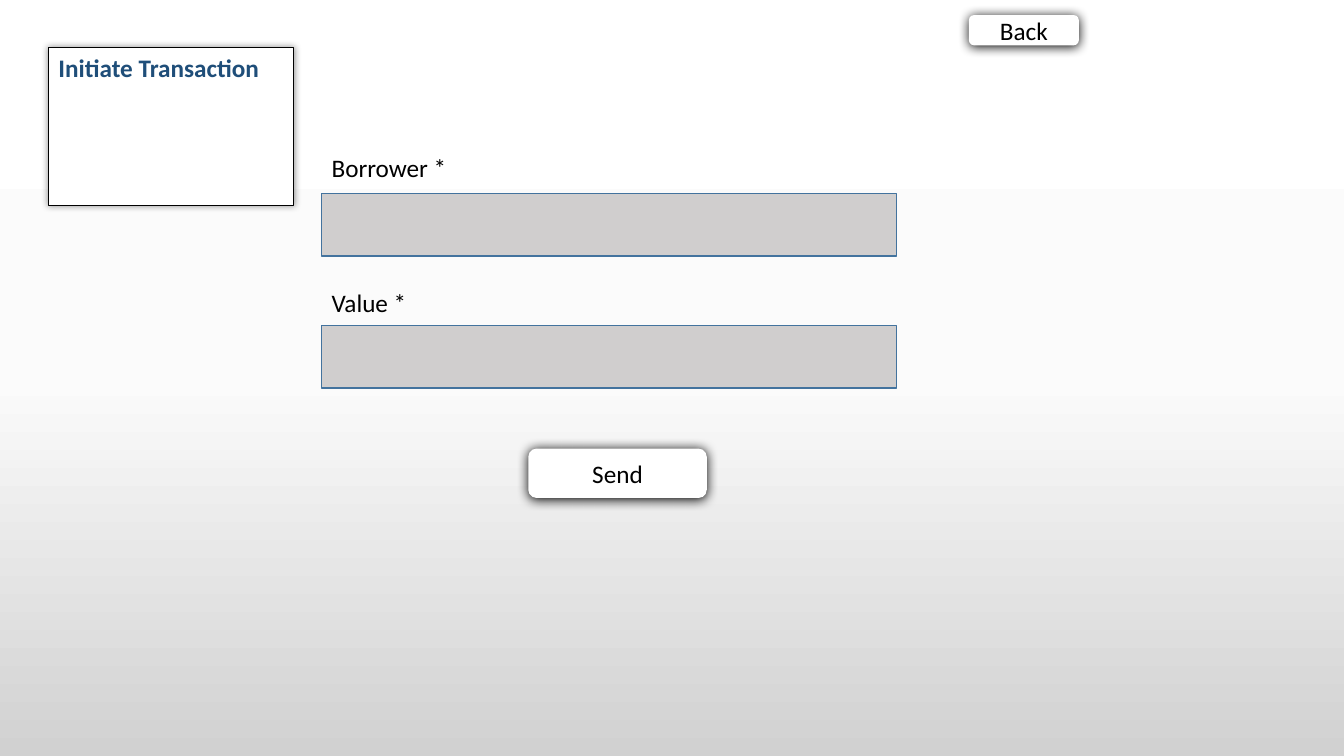
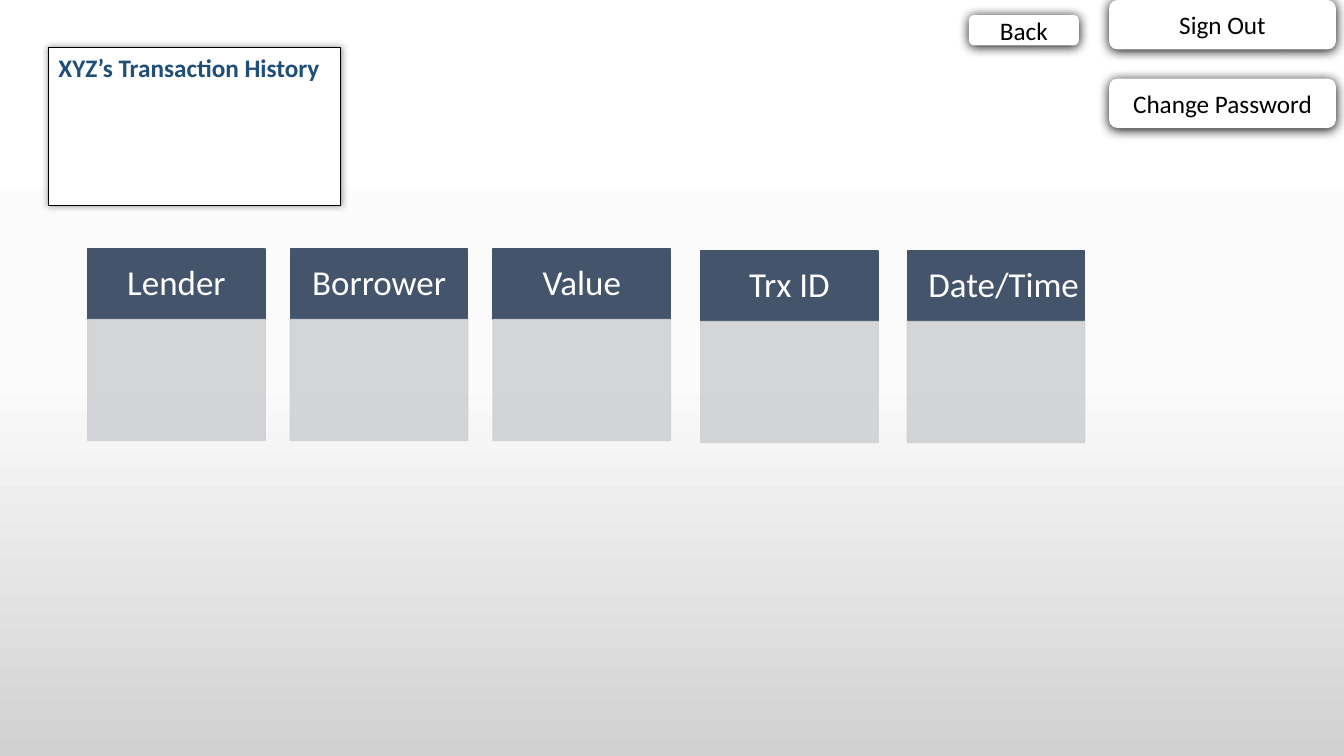
from copy import deepcopy

from lxml import etree
from pptx import Presentation
from pptx.dml.color import RGBColor
from pptx.enum.shapes import MSO_SHAPE
from pptx.enum.text import MSO_ANCHOR, MSO_AUTO_SIZE, PP_ALIGN
from pptx.oxml.ns import qn
from pptx.util import Inches, Pt

RECT, ROUNDED = MSO_SHAPE.RECTANGLE, MSO_SHAPE.ROUNDED_RECTANGLE
LEFT, CENTER = PP_ALIGN.LEFT, PP_ALIGN.CENTER
TOP, MIDDLE = MSO_ANCHOR.TOP, MSO_ANCHOR.MIDDLE
FIT_SHAPE, NO_FIT = MSO_AUTO_SIZE.SHAPE_TO_FIT_TEXT, MSO_AUTO_SIZE.NONE

FONT = "Calibri"
COLORS = {
    "white": "FFFFFF",
    "black": "000000",
    "title": "1F4E79",
    "field": "D0CECE",
    "field_line": "43739E",
    "header": "44546A",
    "cell": "CFD1D4",
}
BACKGROUND = [(0, "FFFFFF"), (0.5, "FBFBFB"), (1, "D1D1D1")]
BACK_BOX = (9.61, 0.15, 1.09, 0.3)


def rgb(name):
    return RGBColor.from_string(COLORS[name])


def set_background(master):
    fill = master.background.fill
    fill.gradient()
    fill.gradient_angle = 270
    stops = master.element.find(".//" + qn("a:gsLst"))
    stops.append(deepcopy(stops[-1]))
    for stop, (position, color) in zip(fill.gradient_stops, BACKGROUND):
        stop.position = position
        stop.color.rgb = RGBColor.from_string(color)


def style_shape(s, fill, line=None):
    s.shadow.inherit = False
    s.fill.solid()
    s.fill.fore_color.rgb = rgb(fill)
    if line:
        s.line.color.rgb = rgb(line)
        s.line.width = Pt(1)
    else:
        s.line.fill.background()


def add_box(slide, box, fill, line=None, kind=RECT):
    s = slide.shapes.add_shape(kind, *map(Inches, box))
    style_shape(s, fill, line)
    return s


def add_shadow(s, alpha, blur, distance):
    """Cast a black shadow straight down; blur and distance in points."""
    effects = s.element.spPr.find(qn("a:effectLst"))
    shadow = etree.SubElement(
        effects, qn("a:outerShdw"), blurRad=str(Pt(blur)),
        dist=str(Pt(distance)), dir="5400000", algn="ctr", rotWithShape="0")
    color = etree.SubElement(shadow, qn("a:srgbClr"), val=COLORS["black"])
    etree.SubElement(color, qn("a:alpha"), val=str(alpha * 1000))


def set_opacity(s, percent):
    """Apply one opacity to both the fill and the line."""
    for color in s.element.spPr.iter(qn("a:srgbClr")):
        etree.SubElement(color, qn("a:alpha"), val=str(percent * 1000))


def write(s, text, size=18, color="black", bold=False, align=LEFT,
          anchor=TOP, fit=NO_FIT):
    tf = s.text_frame
    tf.word_wrap = True
    tf.auto_size = fit
    tf.vertical_anchor = anchor
    p = tf.paragraphs[0]
    p.alignment = align
    r = p.add_run()
    r.text = text
    r.font.name = FONT
    r.font.size = Pt(size)
    r.font.bold = bold
    r.font.color.rgb = rgb(color)
    return p


def add_button(slide, text, box):
    s = add_box(slide, box, "white", kind=ROUNDED)
    add_shadow(s, alpha=100, blur=8.5, distance=1)
    write(s, text, align=CENTER, anchor=MIDDLE)


def add_page(prs, title, title_width):
    """Add a slide with the framed title and the Back button."""
    slide = prs.slides.add_slide(prs.slide_layouts[5])
    s = slide.shapes.title
    s.left, s.top, s.width, s.height = map(
        Inches, (0.48, 0.47, title_width, 0.4))
    style_shape(s, "white", "black")
    add_shadow(s, alpha=40, blur=5, distance=0)
    write(s, title, color="title", bold=True, fit=FIT_SHAPE)
    add_button(slide, "Back", BACK_BOX)
    return slide


def add_field(slide, label, left, top, label_gap):
    """Add an input field with its label label_gap above it."""
    add_box(slide, (left, top, 5.7, 0.62), "field", "field_line")
    label_box = (left, top - label_gap, 2.28, 0.4)
    s = slide.shapes.add_textbox(*map(Inches, label_box))
    write(s, label, fit=FIT_SHAPE)


def add_column(slide, heading, left, top, right_inset=0.19):
    """Add a heading block with an empty cell below it."""
    width, header_height, cell_height = 1.76, 0.7, 1.2
    s = add_box(slide, (left, top, width, header_height), "header", "header")
    p = write(s, heading, size=25, color="white", align=CENTER, anchor=MIDDLE)
    p.line_spacing = 0.9
    tf = s.text_frame
    tf.margin_left, tf.margin_right = Inches(0.19), Inches(right_inset)
    tf.margin_top = tf.margin_bottom = Inches(0.11)
    cell = add_box(slide, (left, top + header_height, width, cell_height),
                   "cell", "cell")
    set_opacity(cell, 90)


def build_transaction_form(prs):
    slide = add_page(prs, "Initiate Transaction", 2.43)
    add_field(slide, "Borrower *", 3.19, 1.92, label_gap=0.46)
    add_field(slide, "Value *", 3.19, 3.23, label_gap=0.43)
    add_button(slide, "Send", (5.24, 4.45, 1.77, 0.49))


def build_history(prs):
    slide = add_page(prs, "XYZ’s Transaction History", 2.9)
    for i, heading in enumerate(("Lender", "Borrower", "Value")):
        add_column(slide, heading, 0.87 + i * 2.01, 2.47)
    add_column(slide, "Trx ID", 6.95, 2.49)
    add_column(slide, "Date/Time", 9, 2.49, right_inset=0.04)
    for i, text in enumerate(("Sign Out", "Change Password")):
        add_button(slide, text, (11, i * 0.78, 2.25, 0.49))


def main():
    prs = Presentation()
    prs.slide_width, prs.slide_height = Inches(13.33), Inches(7.5)
    set_background(prs.slide_master)
    build_transaction_form(prs)
    build_history(prs)
    prs.save("out.pptx")


if __name__ == "__main__":
    main()
